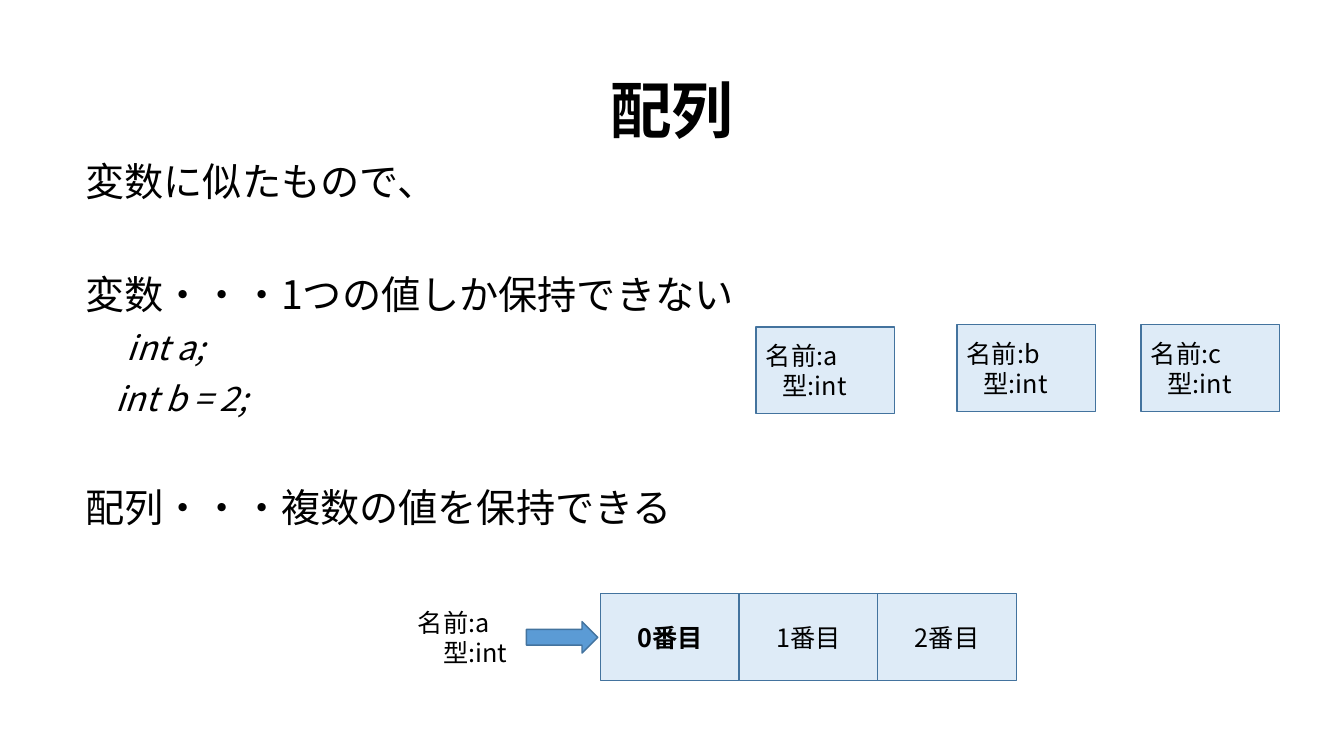
from pptx import Presentation
from pptx.dml.color import RGBColor
from pptx.enum.shapes import MSO_SHAPE
from pptx.enum.text import MSO_ANCHOR, PP_ALIGN
from pptx.util import Pt
from lxml.etree import SubElement
from pptx.oxml.ns import qn

FONT = "Noto Sans CJK JP"
HUES = {"ink": "000000", "pale": "DEEBF7", "edge": "43739E", "blue": "5B9BD5"}


def hue(name):
    return RGBColor.from_string(HUES[name])


def write(para, text, size=18, bold=False, slant=False, indent=0,
          before=0, lead=1.0, align=PP_ALIGN.LEFT):
    """Fill a paragraph; indent and before are in points."""
    props = para._p.get_or_add_pPr()
    props.set("marL", str(Pt(indent)))
    props.set("indent", "0")
    para.alignment = align
    para.line_spacing = lead
    para.space_before = Pt(before)
    run = para.add_run()
    run.text = text
    font = run.font
    font.name, font.size = FONT, Pt(size)
    font.bold, font.italic = bold, slant
    font.color.rgb = hue("ink")
    SubElement(font._element, qn("a:ea"), typeface=FONT)


class Board:
    def __init__(self, deck):
        self.slide = deck.slides.add_slide(deck.slide_layouts[6])

    def fill(self, shape, lines, anchor):
        frame = shape.text_frame
        frame.word_wrap = True
        frame.vertical_anchor = anchor
        for i, (text, form) in enumerate(lines):
            para = frame.add_paragraph() if i else frame.paragraphs[0]
            write(para, text, **form)

    def text(self, area, lines, anchor=MSO_ANCHOR.TOP):
        box = self.slide.shapes.add_textbox(*map(Pt, area))
        self.fill(box, lines, anchor)

    def shape(self, area, lines=(), kind=MSO_SHAPE.RECTANGLE, tint="pale"):
        shape = self.slide.shapes.add_shape(kind, *map(Pt, area))
        shape.shadow.inherit = False
        shape.fill.solid()
        shape.fill.fore_color.rgb = hue(tint)
        shape.line.color.rgb = hue("edge")
        shape.line.width = Pt(1)
        self.fill(shape, lines, MSO_ANCHOR.MIDDLE)


def label(name, indent):
    return [(f"名前:{name}", {}), ("型:int", {"indent": indent})]


def main():
    deck = Presentation()
    deck.slide_width, deck.slide_height = Pt(960), Pt(540)
    board = Board(deck)

    mid = {"align": PP_ALIGN.CENTER}
    board.text((66, 29, 828, 104), [("配列", {"size": 44, "bold": True, "lead": 0.9, **mid})],
               MSO_ANCHOR.MIDDLE)

    head = {"size": 28, "lead": 0.9}
    code = {"size": 24, "lead": 0.9, "slant": True, "before": 10}
    board.text((54, 113, 828, 343), [
        ("変数に似たもので、", head),
        ("変数・・・1つの値しか保持できない", {**head, "before": 50}),
        ("int a;", {**code, "indent": 29.5}),
        ("int b = 2;", {**code, "indent": 21.5}),
        ("配列・・・複数の値を保持できる", {**head, "before": 50}),
    ])

    wide, high = 99, 62
    for name, left, top in (("a", 540, 233.5), ("b", 683.5, 232), ("c", 815, 232)):
        board.shape((left, top, wide, high), label(name, 12))
    for i in range(3):
        board.shape((429 + i * wide, 424, wide, high),
                    [(f"{i}番目", {"bold": i == 0, **mid})])

    board.text((291.5, 430, 100, 51), label("a", 18))
    board.shape((376, 444, 51, 22.5), kind=MSO_SHAPE.RIGHT_ARROW, tint="blue")
    deck.save("out.pptx")


if __name__ == "__main__":
    main()
